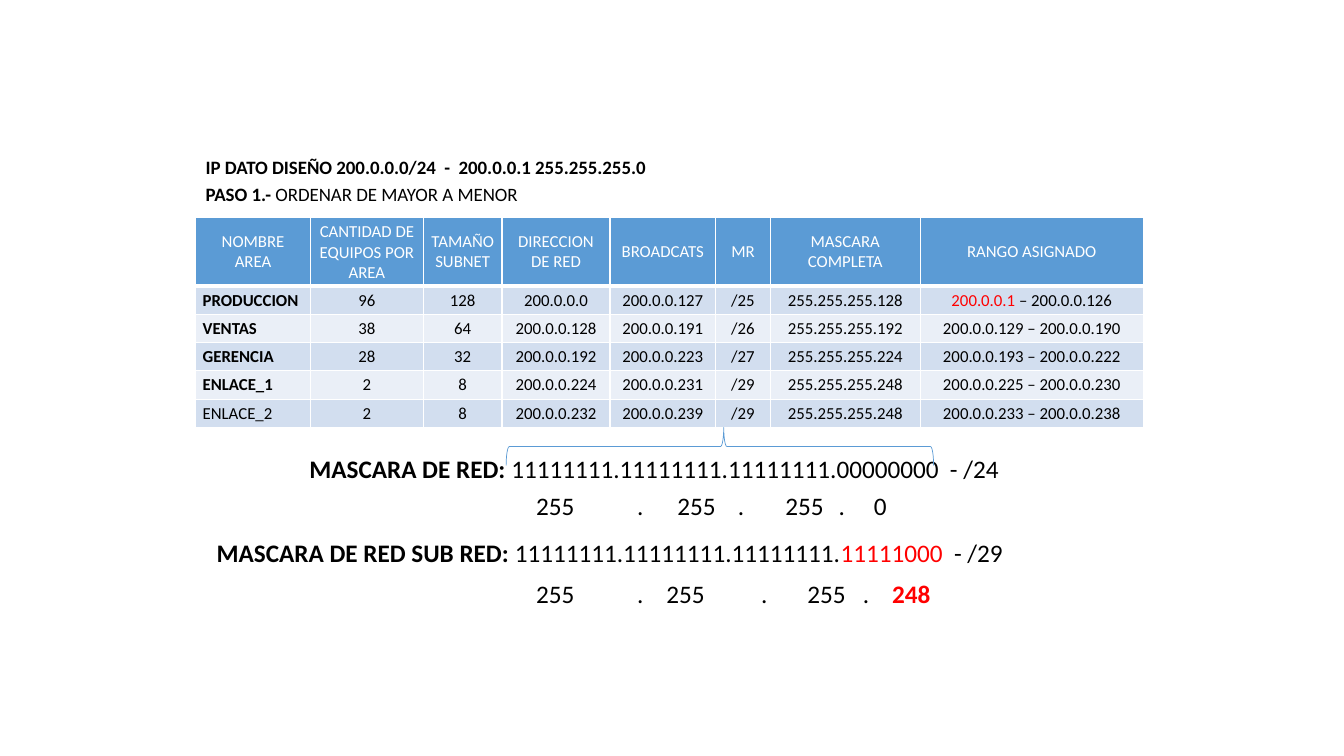
from lxml import etree
from pptx import Presentation
from pptx import util as u
from pptx.dml.color import RGBColor
from pptx.enum import shapes, text
from pptx.oxml import ns

# Content
BLACK, WHITE, RED, BLUE = "000000", "FFFFFF", "FF0000", "5B9BD5"
BANDS = ("D2DEEF", "EAEFF7")
FONT = "Calibri"
BOLD = {"bold": True}
HEADING = [("IP DATO DISEÑO 200.0.0.0/24  -  200.0.0.1 255.255.255.0", BOLD)]
STEP = [("PASO 1.- ", BOLD), ("ORDENAR DE MAYOR A MENOR", {})]
HEADER = ["NOMBRE AREA", "CANTIDAD DE EQUIPOS POR AREA", "TAMAÑO SUBNET", "DIRECCION DE RED",
          "BROADCATS", "MR", "MASCARA COMPLETA", "RANGO ASIGNADO"]
# area, hosts, size, network, broadcast, prefix, last octet of mask, first host, last host
SUBNETS = [
    ("PRODUCCION", 96, 128, 0, 127, 25, 128, 1, 126),
    ("VENTAS", 38, 64, 128, 191, 26, 192, 129, 190),
    ("GERENCIA", 28, 32, 192, 223, 27, 224, 193, 222),
    ("ENLACE_1", 2, 8, 224, 231, 29, 248, 225, 230),
    ("ENLACE_2", 2, 8, 232, 239, 29, 248, 233, 238),
]
COLUMN_WIDTHS = [1.14, 1.12, 0.78, 1.07, 1.05, 0.54, 1.49, 2.21]
HEADER_HEIGHT, ROW_HEIGHT = 0.68, 0.28
TABLE_LEFT, TABLE_TOP = 1.94, 2.16
BRACE = (6.95, 2.31, 0.38, 4.24)

# Mask lines: box, runs, tab stops in inches
MASKS = [
    ((2.97, 4.45, 8.33, 0.4),
     [("MASCARA DE RED: ", BOLD), ("11111111.11111111.11111111.00000000  - /24", {})], []),
    ((5.22, 4.82, 5.53, 0.4),
     [("255\t.\t255\t.\t255\t.\t0", {})], [1, 1.4, 2, 2.47, 3, 3.35]),
    ((2.05, 5.28, 9.49, 0.4),
     [("MASCARA DE RED SUB RED: ", BOLD), ("11111111.11111111.11111111.", {}),
      ("11111000 ", {"color": RED}), (" - /29", {})], []),
    ((5.22, 5.69, 4.46, 0.4),
     [("255\t.\t255\t.\t255\t.\t", {}), ("248", {"color": RED, "bold": True})],
     [1, 1.29, 2.23, 2.69, 3.24, 3.53]),
]


def rgb(color):
    return RGBColor.from_string(color)


def inches(values):
    return [u.Inches(value) for value in values]


def write(para, spans, size, color=BLACK):
    for words, changes in spans:
        span = para.add_run()
        span.text = words
        look = {"name": FONT, "size": u.Pt(size), "bold": False, "color": color, **changes}
        span.font.color.rgb = rgb(look.pop("color"))
        for key, value in look.items():
            setattr(span.font, key, value)


def fill_box(box, spans, size, wrap=True):
    frame = box.text_frame
    settings = {"word_wrap": wrap, "auto_size": text.MSO_AUTO_SIZE.SHAPE_TO_FIT_TEXT,
                "vertical_anchor": text.MSO_ANCHOR.TOP}
    for key, value in settings.items():
        setattr(frame, key, value)
    para = frame.paragraphs[0]
    para.alignment = text.PP_ALIGN.LEFT
    para.line_spacing = 1.0
    write(para, spans, size)
    return para


def set_tabs(para, stops):
    tab_list = etree.SubElement(para._p.get_or_add_pPr(), ns.qn("a:tabLst"))
    for stop in stops:
        etree.SubElement(tab_list, ns.qn("a:tab"), pos=str(u.Inches(stop)), algn="l")


def set_borders(cell, bottom):
    for side, width in (("L", 1), ("R", 1), ("T", 1), ("B", bottom)):
        line = etree.SubElement(cell._tc.get_or_add_tcPr(), ns.qn("a:ln" + side),
                                w=str(u.Pt(width)))
        solid = etree.SubElement(line, ns.qn("a:solidFill"))
        etree.SubElement(solid, ns.qn("a:srgbClr"), val=WHITE)


def subnet_cells(subnet):
    area, hosts, size, network, broadcast, prefix, mask, first, last = subnet
    is_first = subnet is SUBNETS[0]
    is_last = subnet is SUBNETS[-1]
    values = [str(hosts), str(size), f"200.0.0.{network}", f"200.0.0.{broadcast}",
              f"/{prefix}", f"255.255.255.{mask}"]
    span_range = [(f"200.0.0.{first}", {"color": RED if is_first else BLACK}),
                  (f" – 200.0.0.{last}", {})]
    return [[(area, {"bold": not is_last})], *[[(value, {})] for value in values], span_range]


def add_subnet_table(page):
    rows = [[[(label, {})] for label in HEADER]] + [subnet_cells(s) for s in SUBNETS]
    heights = [HEADER_HEIGHT] + [ROW_HEIGHT] * len(SUBNETS)
    place = inches((TABLE_LEFT, TABLE_TOP, sum(COLUMN_WIDTHS), sum(heights)))
    table = page.shapes.add_table(len(rows), len(HEADER), *place).table
    for column, width in zip(table.columns, COLUMN_WIDTHS):
        column.width = u.Inches(width)
    for r, (cells, height) in enumerate(zip(rows, heights)):
        table.rows[r].height = u.Inches(height)
        is_header = r == 0
        for c, spans in enumerate(cells):
            cell = table.cell(r, c)
            margins = {"margin_left": 0.07, "margin_right": 0.07,
                       "margin_top": 0.04, "margin_bottom": 0.04}
            for key, value in margins.items():
                setattr(cell, key, u.Inches(value))
            cell.vertical_anchor = text.MSO_ANCHOR.MIDDLE if is_header else text.MSO_ANCHOR.TOP
            set_borders(cell, 3 if is_header else 1)
            cell.fill.solid()
            cell.fill.fore_color.rgb = rgb(BLUE if is_header else BANDS[(r - 1) % 2])
            para = cell.text_frame.paragraphs[0]
            centred = is_header or c > 0
            para.alignment = text.PP_ALIGN.CENTER if centred else text.PP_ALIGN.LEFT
            write(para, spans, 12, WHITE if is_header else BLACK)


def main():
    deck = Presentation()
    deck.slide_width, deck.slide_height = inches((13.33, 7.5))
    page = deck.slides.add_slide(deck.slide_layouts.get_by_name("Title Only"))

    # Heading
    title = page.shapes.title
    title.left, title.top, title.width, title.height = inches((1.94, 1.49, 4.63, 0.33))
    fill_box(title, HEADING, 13.5, wrap=False)

    # Subnet table
    add_subnet_table(page)

    # Masks in binary and decimal
    for place, spans, stops in MASKS:
        para = fill_box(page.shapes.add_textbox(*inches(place)), spans, 18)
        if stops:
            set_tabs(para, stops)

    # Brace from the mask to the prefix column
    brace = page.shapes.add_shape(shapes.MSO_SHAPE.LEFT_BRACE, *inches(BRACE))
    brace.rotation = 90
    brace.adjustments[0], brace.adjustments[1] = 0.083, 0.491
    brace.shadow.inherit = False
    brace.fill.background()
    brace.line.color.rgb = rgb(BLUE)
    brace.line.width = u.Pt(0.5)

    # Step
    step = page.shapes.add_textbox(*inches((1.94, 1.76, 3.35, 0.33)))
    fill_box(step, STEP, 13.5, wrap=False)

    deck.save("out.pptx")


if __name__ == "__main__":
    main()
